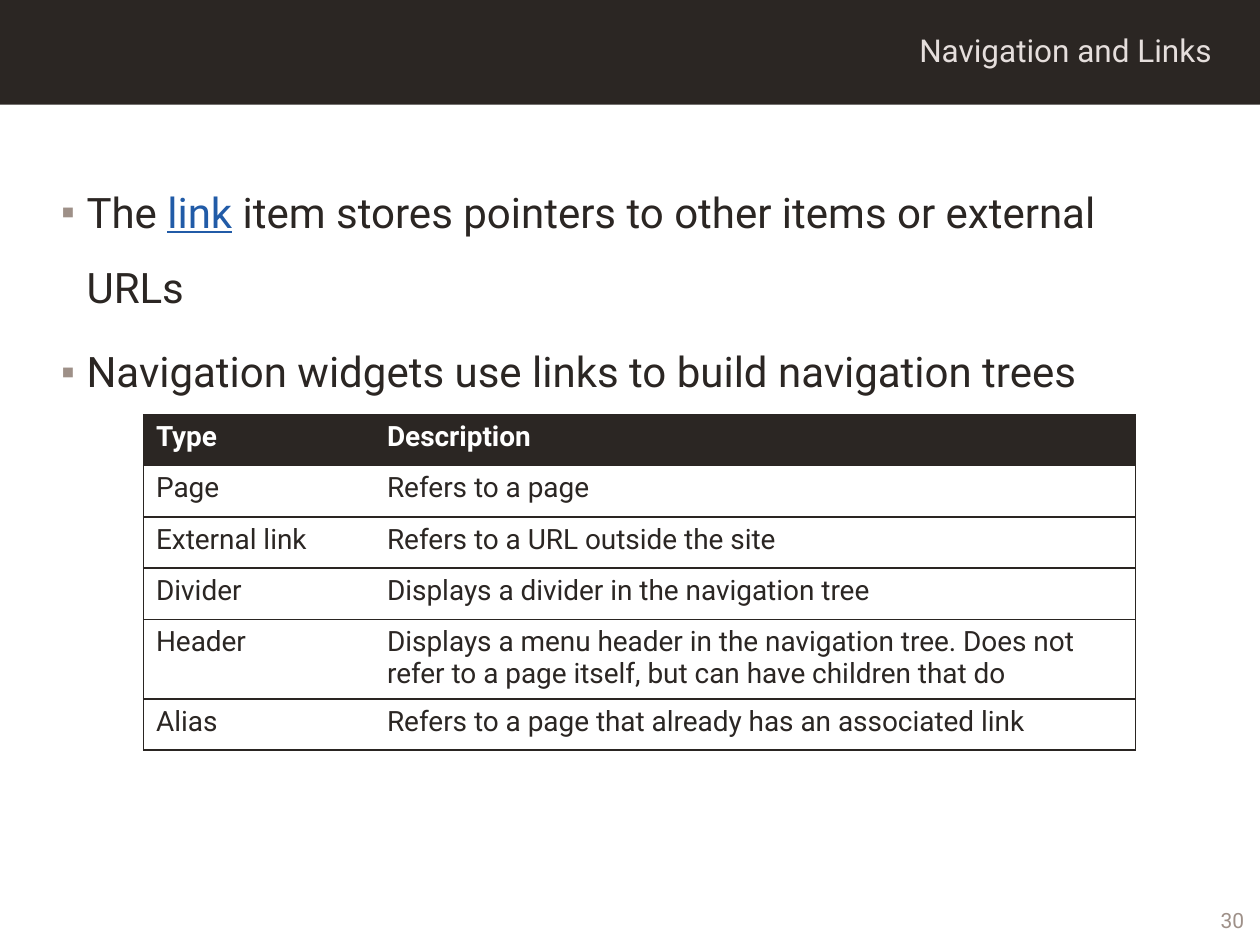
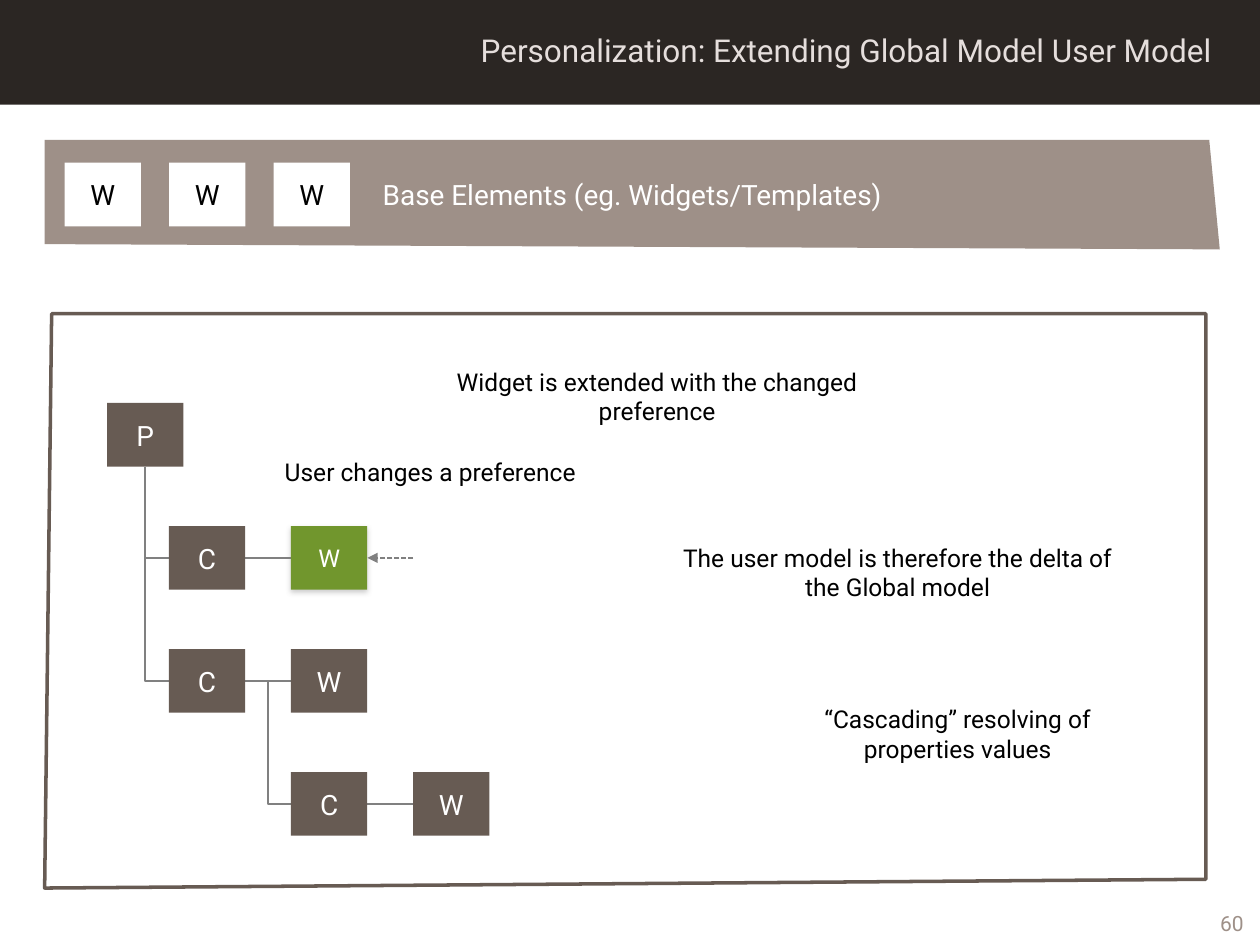
"""Builds two training slides: navigation links and the extended user model."""
import pptx
import pptx.util
import pptx.dml.color
import pptx.enum.dml
import pptx.enum.shapes
import pptx.enum.text
import pptx.oxml
import pptx.oxml.ns
from lxml import etree

Pt = pptx.util.Pt
qn = pptx.oxml.ns.qn
ALIGN = pptx.enum.text.PP_ALIGN
ANCHOR = pptx.enum.text.MSO_ANCHOR
CONNECTOR = pptx.enum.shapes.MSO_CONNECTOR
RECTANGLE = pptx.enum.shapes.MSO_SHAPE.RECTANGLE

FONT = "Roboto"
COLORS = {
    "dark": "2B2623", "title": "E5DEDC", "taupe": "9E9088", "brown": "675B53",
    "link": "215BA7", "green": "71962D", "gray": "808080", "border": "2A2522",
    "white": "FFFFFF", "black": "000000",
}
NARROW, WIDE = (7.2, 3.6), (10, 5)

LINKS = {
    "title": "Navigation and Links",
    "number": ("30", (586, 516, 132, 20)),
    "bullets": [
        [("The ", "dark"), ("link", "link"),
         (" item stores pointers to other items or external URLs", "dark")],
        [("Navigation widgets use links to build navigation trees", "dark")],
    ],
    "link_types": [
        ("Type", "Description"),
        ("Page", "Refers to a page"),
        ("External link", "Refers to a URL outside the site"),
        ("Divider", "Displays a divider in the navigation tree"),
        ("Header", "Displays a menu header in the navigation tree. Does not refer "
                   "to a page itself, but can have children that do"),
        ("Alias", "Refers to a page that already has an associated link"),
    ],
    "column_widths": (132, 435),
}

MODEL = {
    "title": "Personalization: Extending Global Model User Model",
    "number": ("60", (592.5, 517.5, 125.3, 19.5)),
    "base": "Base Elements (eg. Widgets/Templates)",
    "base_outline": [(25.5, 80), (691, 80), (697, 142.5), (25.5, 139.5)],
    "base_widgets": ["W", "W", "W"],
    "frame_outline": [(29.5, 179.3), (689, 179.3), (689, 502.5), (25.5, 507.5)],
    "tree": [("P", 0, 0), ("C", 1, 1), ("C", 1, 2), ("W", 2, 2), ("C", 2, 3), ("W", 3, 3)],
    "changed_widget": ("W", 2, 1),
    "links": [(1, 1, 2), (2, 1, 2), (3, 2, 3)],
    "notes": [
        (["Widget is extended with the changed preference"], (222.5, 204.5, 306, 44.5)),
        (["The user model is therefore the delta of", "the Global model"],
         (374.5, 305.3, 277, 44.5)),
        (["“Cascading” resolving of\vproperties values"], (456.5, 397.4, 181.5, 44.5)),
        (["User changes a preference"], (131.8, 256.3, 228.2, 27.4)),
    ],
}

TILE_W, TILE_H = 43.6, 36.4
COLUMN_X = [61.2] + [96.5 + 69.8 * i for i in range(3)]
ROW_Y = [230.3 + 70.3 * i for i in range(4)]


def rgb(name):
    return pptx.dml.color.RGBColor.from_string(COLORS[name])


def child(parent, tag, **attributes):
    return etree.SubElement(parent, qn(tag), attributes)


def add_run(paragraph, text, size, color, bold=False, underline=False):
    for i, line in enumerate(text.split("\v")):
        if i:
            paragraph.add_line_break()
        run = paragraph.add_run()
        run.text = line
        font = run.font
        font.name, font.size, font.bold, font.underline = FONT, Pt(size), bold, underline
        font.color.rgb = rgb(color)


def prepare_frame(shape, insets, anchor=ANCHOR.TOP):
    frame = shape.text_frame
    frame.word_wrap = True
    frame.vertical_anchor = anchor
    frame.margin_left = frame.margin_right = Pt(insets[0])
    frame.margin_top = frame.margin_bottom = Pt(insets[1])
    return frame


def write(shape, lines, size, color, align, insets, anchor=ANCHOR.TOP):
    frame = prepare_frame(shape, insets, anchor)
    for i, line in enumerate(lines):
        paragraph = frame.add_paragraph() if i else frame.paragraphs[0]
        paragraph.alignment = align
        add_run(paragraph, line, size, color)


def add_box(slide, box):
    return slide.shapes.add_textbox(*map(Pt, box))


def paint(shape, fill=None, line=None, width=2):
    shape.shadow.inherit = False
    if fill:
        shape.fill.solid()
        shape.fill.fore_color.rgb = rgb(fill)
    else:
        shape.fill.background()
    if line:
        shape.line.color.rgb = rgb(line)
        shape.line.width = Pt(width)
    else:
        shape.line.fill.background()
    return shape


def add_rect(slide, box, fill):
    return paint(slide.shapes.add_shape(RECTANGLE, *map(Pt, box)), fill)


def add_outline(slide, points, **look):
    corners = [(Pt(x), Pt(y)) for x, y in points]
    builder = slide.shapes.build_freeform(*corners[0])
    builder.add_line_segments(corners[1:], close=True)
    return paint(builder.convert_to_shape(), **look)


def add_tile(slide, label, box, fill, color, size=16):
    tile = add_rect(slide, box, fill)
    write(tile, [label], size, color, ALIGN.CENTER, WIDE, ANCHOR.MIDDLE)
    return tile


def add_tree_tile(slide, label, column, row, fill="brown", size=16):
    box = (COLUMN_X[column], ROW_Y[row], TILE_W, TILE_H)
    return add_tile(slide, label, box, fill, "white", size)


def add_link(slide, start, end, kind=CONNECTOR.STRAIGHT):
    link = slide.shapes.add_connector(kind, *map(Pt, start + end))
    link.line.color.rgb = rgb("gray")
    link.line.width = Pt(1)
    child(link._element.spPr, "a:effectLst")
    return link


def add_drop(slide, start, end, turn_y):
    """Draws an elbow that leaves downwards and turns right at turn_y."""
    across, down = end[0] - start[0], end[1] - start[1]
    x, y = (start[0] + end[0]) / 2, (start[1] + end[1]) / 2
    drop = add_link(slide, (x + down / 2, y - across / 2), (x - down / 2, y + across / 2),
                    CONNECTOR.ELBOW)
    properties = drop._element.spPr
    properties.find(qn("a:xfrm")).set("rot", "16200000")
    turn = round((turn_y - start[1]) / down * 100000)
    child(properties.find(qn("a:prstGeom")).find(qn("a:avLst")), "a:gd",
          name="adj1", fmla=f"val {turn}")


def add_page(deck, content):
    slide = deck.slides.add_slide(deck.slide_layouts[6])
    add_rect(slide, (0, 0, 720, 59.8), "dark")
    write(add_box(slide, (206.6, 14.4, 493, 28.8)), [content["title"]], 18, "title",
          ALIGN.RIGHT, NARROW)
    number, box = content["number"]
    write(add_box(slide, box), [number], 12, "taupe", ALIGN.RIGHT, NARROW, ANCHOR.MIDDLE)
    return slide


def add_bullets(slide, bullets):
    frame = prepare_frame(add_box(slide, (28, 88.5, 664.6, 424)), NARROW)
    for i, runs in enumerate(bullets):
        paragraph = frame.add_paragraph() if i else frame.paragraphs[0]
        paragraph.line_spacing = 1.5
        if i:
            paragraph.space_before = Pt(4.8)
        properties = paragraph._p.get_or_add_pPr()
        properties.set("marL", str(Pt(14.4)))
        properties.set("indent", str(Pt(-14.4)))
        child(child(properties, "a:buClr"), "a:srgbClr", val=COLORS["taupe"])
        child(properties, "a:buSzPct", val="80000")
        child(properties, "a:buFont", typeface=FONT)
        child(properties, "a:buChar", char="▪")
        for text, color in runs:
            add_run(paragraph, text, 24, color, underline=color == "link")


def add_borders(cell, sides):
    properties = cell._tc.get_or_add_tcPr()
    for side in "LRTB":
        border = child(properties, f"a:ln{side}", w=str(Pt(0.75)))
        if side in sides:
            child(child(border, "a:solidFill"), "a:srgbClr", val=COLORS["border"])
        else:
            child(border, "a:noFill")


def add_link_types(slide, rows, widths):
    table = slide.shapes.add_table(len(rows), len(widths), Pt(82), Pt(237),
                                   Pt(sum(widths)), Pt(29.2 * len(rows))).table
    table.horz_banding = False
    for column, width in zip(table.columns, widths):
        column.width = Pt(width)
    for r, row in enumerate(rows):
        for c, text in enumerate(row):
            cell = table.cell(r, c)
            add_borders(cell, "TB" + "LR"[c])
            cell.fill.solid()
            cell.fill.fore_color.rgb = rgb("white" if r else "dark")
            add_run(cell.text_frame.paragraphs[0], text, 16,
                    "dark" if r else "white", bold=r == 0)


def add_base(slide, content):
    base = add_outline(slide, content["base_outline"], fill="taupe")
    write(base, [content["base"]], 16, "white", ALIGN.CENTER, WIDE, ANCHOR.MIDDLE)
    for i, label in enumerate(content["base_widgets"]):
        add_tile(slide, label, (37 + 59.7 * i, 93, TILE_W, TILE_H), "white", "black")


def add_tree(slide, content):
    middle = [y + TILE_H / 2 for y in ROW_Y]
    trunk = COLUMN_X[0] + TILE_W / 2
    add_drop(slide, (trunk, 300), (105, 332), middle[1])
    add_drop(slide, (trunk, ROW_Y[0] + TILE_H), (99.4, 399), middle[2])
    for row, left, right in content["links"]:
        add_link(slide, (COLUMN_X[left] + TILE_W, middle[row]), (COLUMN_X[right], middle[row]))
    add_link(slide, (COLUMN_X[1] + TILE_W, middle[2]), (COLUMN_X[2], middle[3]),
             CONNECTOR.ELBOW)
    for label, column, row in content["tree"]:
        add_tree_tile(slide, label, column, row)

    changed = add_tree_tile(slide, *content["changed_widget"], fill="green", size=14)
    effects = changed._element.spPr.find(qn("a:effectLst"))
    shadow = child(effects, "a:outerShdw", blurRad=str(Pt(3.1)), dist=str(Pt(1.6)),
                   dir="5400000", rotWithShape="0")
    child(child(shadow, "a:srgbClr", val=COLORS["gray"]), "a:alpha", val="38000")

    change = add_link(slide, (COLUMN_X[3], middle[1]), (COLUMN_X[2] + TILE_W, middle[1]))
    change.line.dash_style = pptx.enum.dml.MSO_LINE.SQUARE_DOT
    child(change.line._get_or_add_ln(), "a:tailEnd", type="triangle")


def main():
    deck = pptx.Presentation()
    deck.slide_width, deck.slide_height = Pt(720), Pt(540)

    links = add_page(deck, LINKS)
    add_bullets(links, LINKS["bullets"])
    add_link_types(links, LINKS["link_types"], LINKS["column_widths"])

    model = add_page(deck, MODEL)
    add_base(model, MODEL)
    add_tree(model, MODEL)
    for lines, box in MODEL["notes"]:
        write(add_box(model, box), lines, 14, "black", ALIGN.CENTER, WIDE)
    add_outline(model, MODEL["frame_outline"], line="brown")

    deck.save("out.pptx")


if __name__ == "__main__":
    main()
